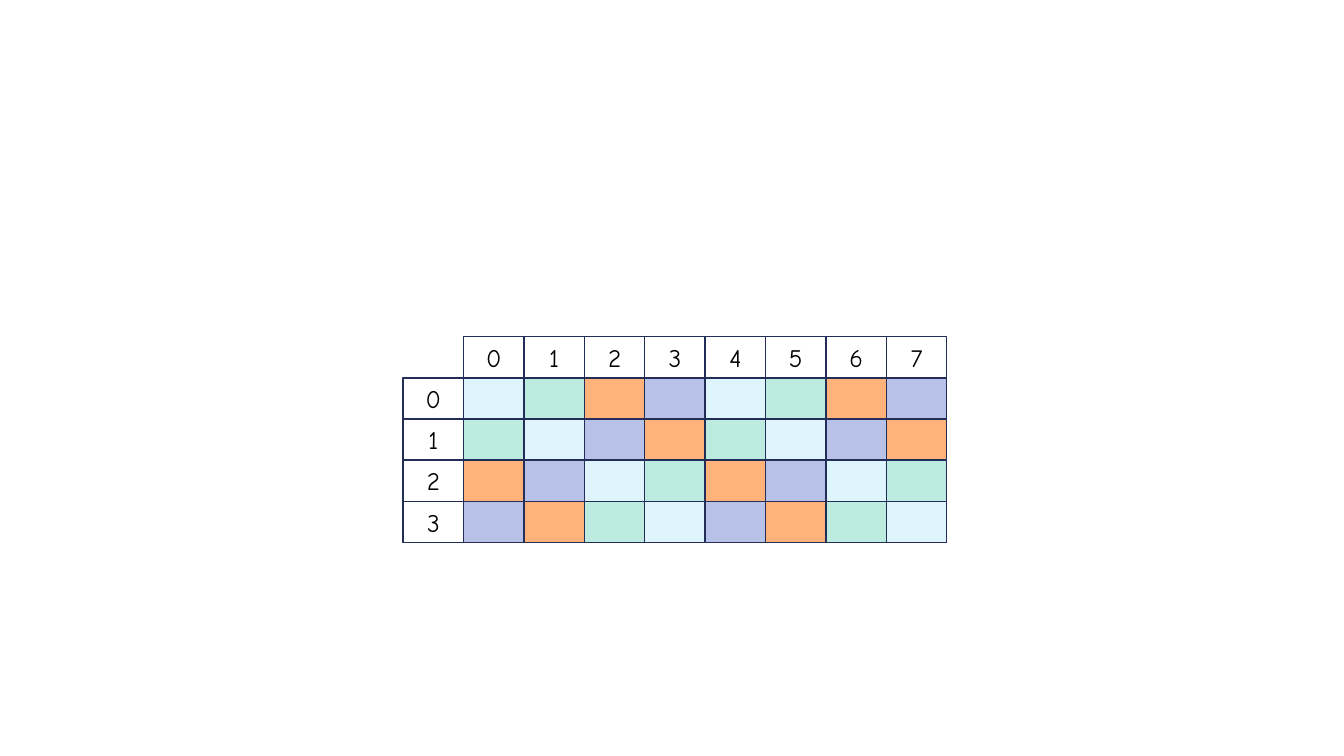
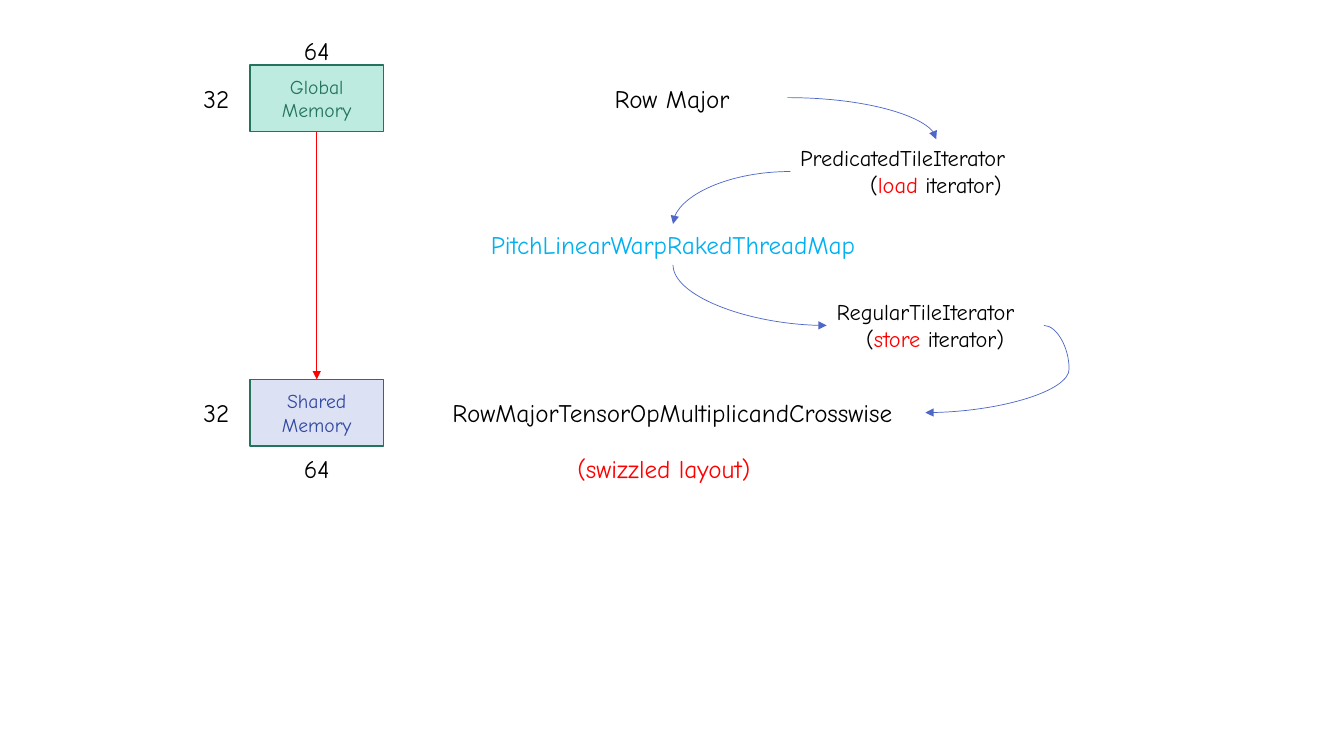
import dataclasses
import typing

import lxml.etree
import pptx
import pptx.dml.color
import pptx.enum.shapes
import pptx.enum.text
import pptx.oxml.ns
import pptx.util

Pt = pptx.util.Pt
qn = pptx.oxml.ns.qn
ALIGN = pptx.enum.text.PP_ALIGN
ANCHOR = pptx.enum.text.MSO_ANCHOR
CONNECTOR = pptx.enum.shapes.MSO_CONNECTOR

FONT = "Comic Neue"
COLOURS = {
    "ink": "000000",
    "white": "FFFFFF",
    "red": "FF0000",
    "navy": "222D58",
    "ice": "DFF5FD",
    "mint": "BEEBDF",
    "orange": "FFB37A",
    "lavender": "B8C2E9",
    "pale_blue": "DCE1F4",
    "green": "23735D",
    "blue": "31489F",
    "sky": "00B0F0",
    "curve": "4E67C8",
}

BANKS = ("ice", "mint", "orange", "lavender")
ROWS, COLUMNS = 4, 8
GRID_LEFT, GRID_TOP = 288, 240.5
CELL_WIDTH, CELL_HEIGHT = 43.15, 29.4


@dataclasses.dataclass(frozen=True)
class Run:
    text: str
    colour: str = "ink"


@dataclasses.dataclass(frozen=True)
class Line:
    runs: tuple[Run, ...]
    centred: bool = True


@dataclasses.dataclass(frozen=True)
class Box:
    left: float
    top: float
    width: float
    height: float
    lines: tuple[Line, ...] = ()
    size: float = 18
    fill: str | None = None
    outline: str | None = None


@dataclasses.dataclass(frozen=True)
class Curve:
    """A curved arrow; with vertical_first it leaves downwards, towards the right."""
    begin: tuple[float, float]
    end: tuple[float, float]
    vertical_first: bool = False
    bulge: int | None = None


def one_line(text: str, colour: str = "ink", centred: bool = True) -> tuple[Line, ...]:
    return (Line((Run(text, colour),), centred),)


def iterator_lines(name: str, action: str) -> tuple[Line, ...]:
    role = Line((Run("("), Run(f"{action} ", "red"), Run("iterator)")))
    return one_line(name, centred=False) + (role,)


def rgb(name: str) -> pptx.dml.color.RGBColor:
    return pptx.dml.color.RGBColor.from_string(COLOURS[name])


def draw_box(slide: typing.Any, box: Box) -> typing.Any:
    """Draw a rectangle, or a text box when there is neither fill nor outline."""
    bounds = [Pt(length) for length in (box.left, box.top, box.width, box.height)]
    if box.fill or box.outline:
        shape = slide.shapes.add_shape(pptx.enum.shapes.MSO_SHAPE.RECTANGLE, *bounds)
        shape.shadow.inherit = False
    else:
        shape = slide.shapes.add_textbox(*bounds)
    if box.fill:
        shape.fill.solid()
        shape.fill.fore_color.rgb = rgb(box.fill)
    else:
        shape.fill.background()
    if box.outline:
        shape.line.color.rgb = rgb(box.outline)
        shape.line.width = Pt(1)
    else:
        shape.line.fill.background()
    if box.lines:
        write_lines(shape.text_frame, box)
    return shape


def write_lines(frame: typing.Any, box: Box) -> None:
    frame.word_wrap = True
    frame.vertical_anchor = ANCHOR.MIDDLE if box.outline else ANCHOR.TOP
    if not box.outline:
        frame.auto_size = pptx.enum.text.MSO_AUTO_SIZE.SHAPE_TO_FIT_TEXT
    for index, line in enumerate(box.lines):
        paragraph = frame.add_paragraph() if index else frame.paragraphs[0]
        paragraph.alignment = ALIGN.CENTER if line.centred else ALIGN.LEFT
        for part in line.runs:
            run = paragraph.add_run()
            run.text = part.text
            run.font.name = FONT
            run.font.size = Pt(box.size)
            run.font.color.rgb = rgb(part.colour)


def draw_arrow(slide: typing.Any, kind: typing.Any, begin: tuple[float, float],
               end: tuple[float, float], colour: str) -> typing.Any:
    arrow = slide.shapes.add_connector(kind, *(Pt(n) for n in begin + end))
    arrow.line.color.rgb = rgb(colour)
    arrow.line.width = Pt(0.5)
    properties = arrow._element.spPr
    lxml.etree.SubElement(properties.find(qn("a:ln")), qn("a:tailEnd"), type="triangle")
    lxml.etree.SubElement(properties, qn("a:effectLst"))
    return arrow


def draw_curve(slide: typing.Any, curve: Curve) -> None:
    begin, end = curve.begin, curve.end
    if curve.vertical_first:
        # The frame is stored a quarter turn away from where it shows.
        middle_x, middle_y = (begin[0] + end[0]) / 2, (begin[1] + end[1]) / 2
        half_x, half_y = (end[0] - begin[0]) / 2, (end[1] - begin[1]) / 2
        begin = (middle_x + half_y, middle_y - half_x)
        end = (middle_x - half_y, middle_y + half_x)
    arrow = draw_arrow(slide, CONNECTOR.CURVE, begin, end, "curve")
    properties = arrow._element.spPr
    if curve.vertical_first:
        properties.find(qn("a:xfrm")).set("rot", str(270 * 60000))
    geometry = properties.find(qn("a:prstGeom"))
    if curve.bulge is None:
        geometry.set("prst", "curvedConnector2")
    else:
        lxml.etree.SubElement(geometry.find(qn("a:avLst")), qn("a:gd"),
                              name="adj1", fmla=f"val {curve.bulge}")


def grid_cell(row: int, column: int) -> Box:
    """Row 0 and column 0 hold the indices; the rest shows the XOR pattern."""
    fill, lines = None, ()
    if row and column:
        fill = BANKS[((row - 1) ^ (column - 1)) % len(BANKS)]
    else:
        lines = one_line(str(max(row, column) - 1))
    return Box(GRID_LEFT + column * CELL_WIDTH, GRID_TOP + row * CELL_HEIGHT,
               CELL_WIDTH, CELL_HEIGHT, lines, fill=fill, outline="navy")


def build_swizzle_grid(slide: typing.Any) -> None:
    for row in range(ROWS + 1):
        for column in range(COLUMNS + 1):
            if row or column:
                draw_box(slide, grid_cell(row, column))


def build_memory_flow(slide: typing.Any) -> None:
    left, width, height = 178.5, 95.5, 47.5
    global_top, shared_top = 46.5, 271
    global_memory = draw_box(slide, Box(
        left, global_top, width, height, one_line("Global Memory", "green"),
        14, "mint", "green"))
    shared_memory = draw_box(slide, Box(
        left, shared_top, width, height,
        one_line("Shared", "blue") + one_line("Memory", "blue"),
        14, "pale_blue", "green"))
    for memory_top, columns_top in ((global_top, 21.75), (shared_top, 320)):
        draw_box(slide, Box(138.25, memory_top + 9.2, 40.25, 29,
                            one_line("32", centred=False)))
        draw_box(slide, Box(left, columns_top, width, 29, one_line("64")))

    centre = left + width / 2
    copy_arrow = draw_arrow(slide, CONNECTOR.STRAIGHT, (centre, global_top + height),
                            (centre, shared_top), "red")
    copy_arrow.begin_connect(global_memory, 2)
    copy_arrow.end_connect(shared_memory, 0)

    stages = (
        Box(397.5, 55.7, 165, 29, one_line("Row Major")),
        Box(299.5, 280.2, 361.5, 29, one_line("RowMajorTensorOpMultiplicandCrosswise")),
        Box(318.5, 160, 324.5, 29, one_line("PitchLinearWarpRakedThreadMap", "sky"),
            fill="white"),
        Box(564.5, 99.5, 208, 46, iterator_lines("PredicatedTileIterator", "load"), 16),
        Box(590.5, 209.5, 155, 46, iterator_lines("RegularTileIterator", "store"), 16),
        Box(384, 320, 180.5, 29, one_line("(swizzled layout)", "red"), fill="white"),
    )
    for stage in stages:
        draw_box(slide, stage)

    curves = (
        Curve((562.5, 69.75), (668.75, 99.5)),
        Curve((564.5, 122.5), (480.75, 160)),
        Curve((480.75, 189.25), (590.5, 232.5), vertical_first=True),
        Curve((745.75, 232.5), (661, 294.75), bulge=-21200),
    )
    for curve in curves:
        draw_curve(slide, curve)


def main() -> None:
    deck = pptx.Presentation()
    deck.slide_width, deck.slide_height = Pt(960), Pt(540)
    blank = deck.slide_layouts[6]
    for build in (build_swizzle_grid, build_memory_flow):
        build(deck.slides.add_slide(blank))
    deck.save("out.pptx")


if __name__ == "__main__":
    main()
